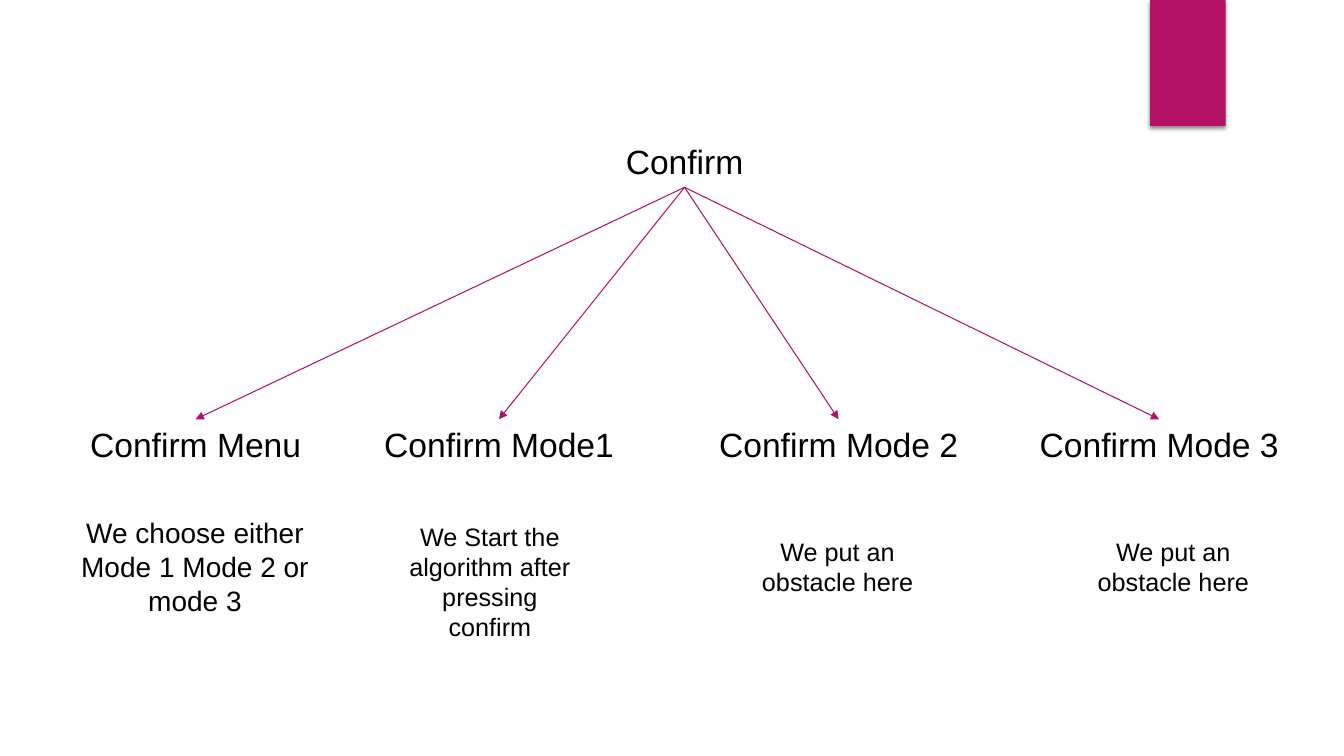
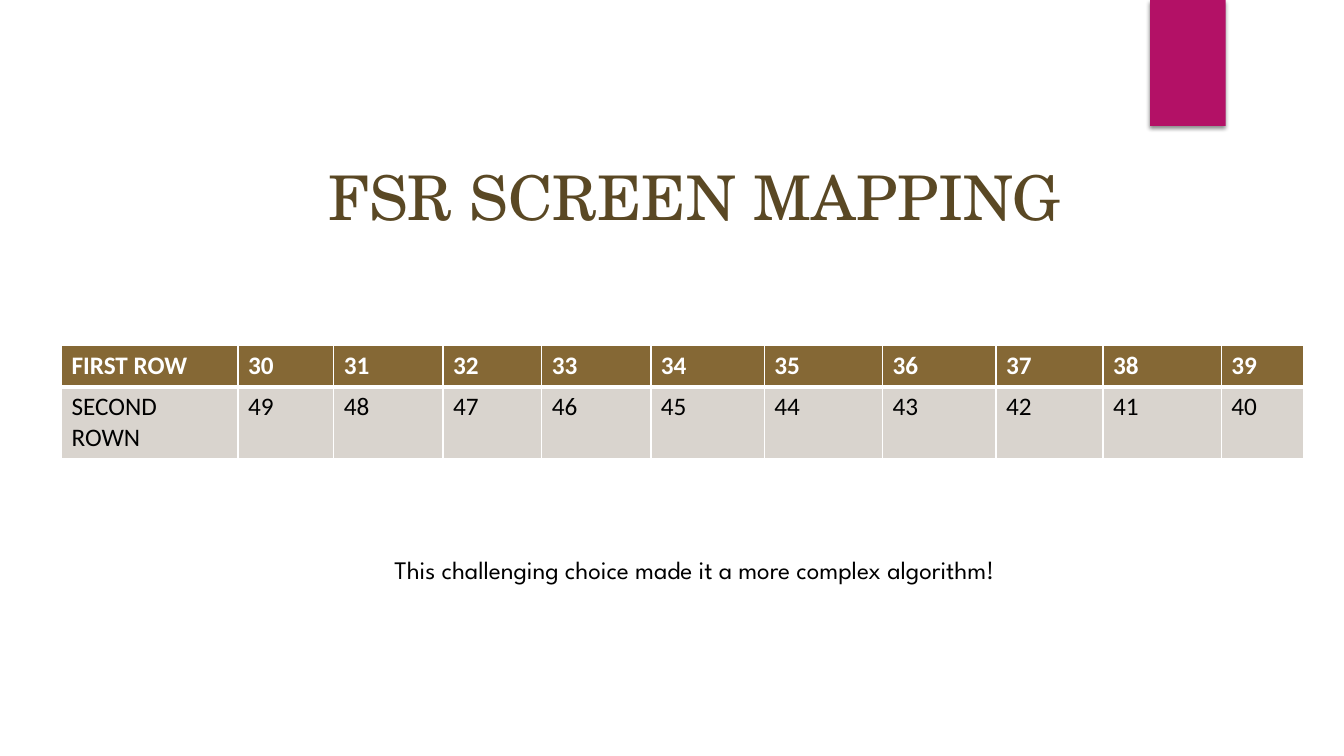
"""Build two slides: a confirm tree and a screen mapping table."""
from pptx import Presentation
from pptx.dml.color import RGBColor
from pptx.enum.shapes import MSO_CONNECTOR, MSO_SHAPE
from pptx.enum.text import PP_ALIGN
from pptx.oxml import parse_xml
from pptx.oxml.ns import nsdecls
from pptx.util import Pt

RECT = MSO_SHAPE.RECTANGLE
LINE = MSO_CONNECTOR.STRAIGHT
MID = PP_ALIGN.CENTER
TOP, BOTTOM = 0, 2

HUES = {
    "pink": "B31166",
    "black": "000000",
    "white": "FFFFFF",
    "head": "856835",
    "row": "D9D4CE",
    "title": "5A4824",
}
BODY, CELL, TITLE, NOTE = "Arial", "Calibri", "TeX Gyre Schola", "League Spartan"
WIDE, HIGH = 960, 540

MODES = [
    ("Confirm Menu", 139.7, "We choose either Mode 1 Mode 2 or mode 3", (44.6, 365, 189.4, 80), 20),
    ("Confirm Mode1", 356.4, "We Start the algorithm after pressing confirm", (278.6, 368.6, 142.6, 94), 18),
    ("Confirm Mode 2", 599, "We put an obstacle here", (527, 379.4, 142.6, 51), 18),
    ("Confirm Mode 3", 828, "We put an obstacle here", (766.8, 379.4, 142.6, 51), 18),
]
COLS = [126, 68.5, 78, 70.5, 78, 81, 84.5, 81, 76.5, 84.5, 58.5]
ROWS = [29.2, 51]


def hue(name):
    """Return the named colour."""
    return RGBColor.from_string(HUES[name])


def style(para, font, size, tint="black", bold=False):
    """Set the font of a paragraph."""
    para.font.name = font
    para.font.size = Pt(size)
    para.font.bold = bold
    para.font.color.rgb = hue(tint)


def write(slide, box, text, font, size, tint="black"):
    """Add a centred text box and return it."""
    shape = slide.shapes.add_textbox(*map(Pt, box))
    shape.text_frame.word_wrap = True
    para = shape.text_frame.paragraphs[0]
    para.text = text
    para.alignment = MID
    style(para, font, size, tint)
    return shape


def ribbon(slide, box):
    """Draw the shaded ribbon that hangs from the top edge."""
    shape = slide.shapes.add_shape(RECT, *map(Pt, box))
    shape.fill.solid()
    shape.fill.fore_color.rgb = hue("pink")
    shape.line.fill.background()
    shape._element.spPr.append(parse_xml(
        f'<a:effectLst {nsdecls("a")}>'
        f'<a:outerShdw blurRad="{Pt(3)}" dist="{Pt(2)}" dir="5400000" rotWithShape="0">'
        f'<a:srgbClr val="{HUES["black"]}"><a:alpha val="45000"/></a:srgbClr>'
        '</a:outerShdw></a:effectLst>'))


def arrow(slide, start, end):
    """Join the bottom of one box to the top of another."""
    link = slide.shapes.add_connector(LINE, 0, 0, 0, 0)
    link.begin_connect(start, BOTTOM)
    link.end_connect(end, TOP)
    link.line.color.rgb = hue("pink")
    link.line.width = Pt(0.75)
    link.line._get_or_add_ln().append(parse_xml(f'<a:tailEnd {nsdecls("a")} type="triangle"/>'))
    link._element.spPr.append(parse_xml(f'<a:effectLst {nsdecls("a")}/>'))


def tree(slide, box):
    """Draw the root, its four modes and their notes."""
    left, top, wide, high = box
    root = write(slide, (left + 404, top + 97.4, 170, 36.4), "Confirm", BODY, 24)
    span = 207.4
    for name, mid, note, area, size in MODES:
        label = write(slide, (left + mid - span / 2, top + 299.5, span, 36.4), name, BODY, 24)
        arrow(slide, root, label)
        x, y, w, h = area
        write(slide, (left + x, top + y, w, h), note, BODY, size)


def edge(cell, sides):
    """Give a cell white borders of the given widths."""
    props = cell._tc.get_or_add_tcPr()
    for side, width in sides.items():
        props.append(parse_xml(
            f'<a:ln{side} {nsdecls("a")} w="{Pt(width)}"><a:solidFill>'
            f'<a:srgbClr val="{HUES["white"]}"/></a:solidFill></a:ln{side}>'))


def grid(slide, box):
    """Draw the table of sensor numbers."""
    count = len(COLS) - 1
    data = [
        ["FIRST ROW", *range(30, 30 + count)],
        ["SECOND ROWN", *range(49, 49 - count, -1)],
    ]
    looks = [("head", "white", True, 1, 3), ("row", "black", False, 3, 1)]
    table = slide.shapes.add_table(len(data), len(COLS), *map(Pt, box)).table
    for col, width in zip(table.columns, COLS):
        col.width = Pt(width)
    for row, height, items, look in zip(table.rows, ROWS, data, looks):
        row.height = Pt(height)
        fill, tint, bold, above, below = look
        for cell, item in zip(row.cells, items):
            edge(cell, {"L": 1, "R": 1, "T": above, "B": below})
            cell.fill.solid()
            cell.fill.fore_color.rgb = hue(fill)
            cell.text = str(item)
            style(cell.text_frame.paragraphs[0], CELL, 18, tint, bold)


def mapping(slide, box):
    """Place the title, the table and the closing remark."""
    left, top, wide, high = box
    grid(slide, (left + 44, top + 247, sum(COLS), sum(ROWS)))
    title = write(slide, (left + 100, top + 112.3, 792, 123), "FSR SCREEN MAPPING", TITLE, 44, "title")
    title.text_frame.paragraphs[0].line_spacing = 0.99
    write(slide, (left + 185.8, top + 392.4, 620.6, 29),
          "This challenging choice made it a more complex algorithm!", NOTE, 18)


def main():
    """Build and save the deck."""
    deck = Presentation()
    deck.slide_width, deck.slide_height = Pt(WIDE), Pt(HIGH)
    blank = deck.slide_layouts[6]
    for draw in (tree, mapping):
        slide = deck.slides.add_slide(blank)
        ribbon(slide, (821.5, 0, 54, 90))
        draw(slide, (0, 0, WIDE, HIGH))
    deck.save("out.pptx")


if __name__ == "__main__":
    main()
